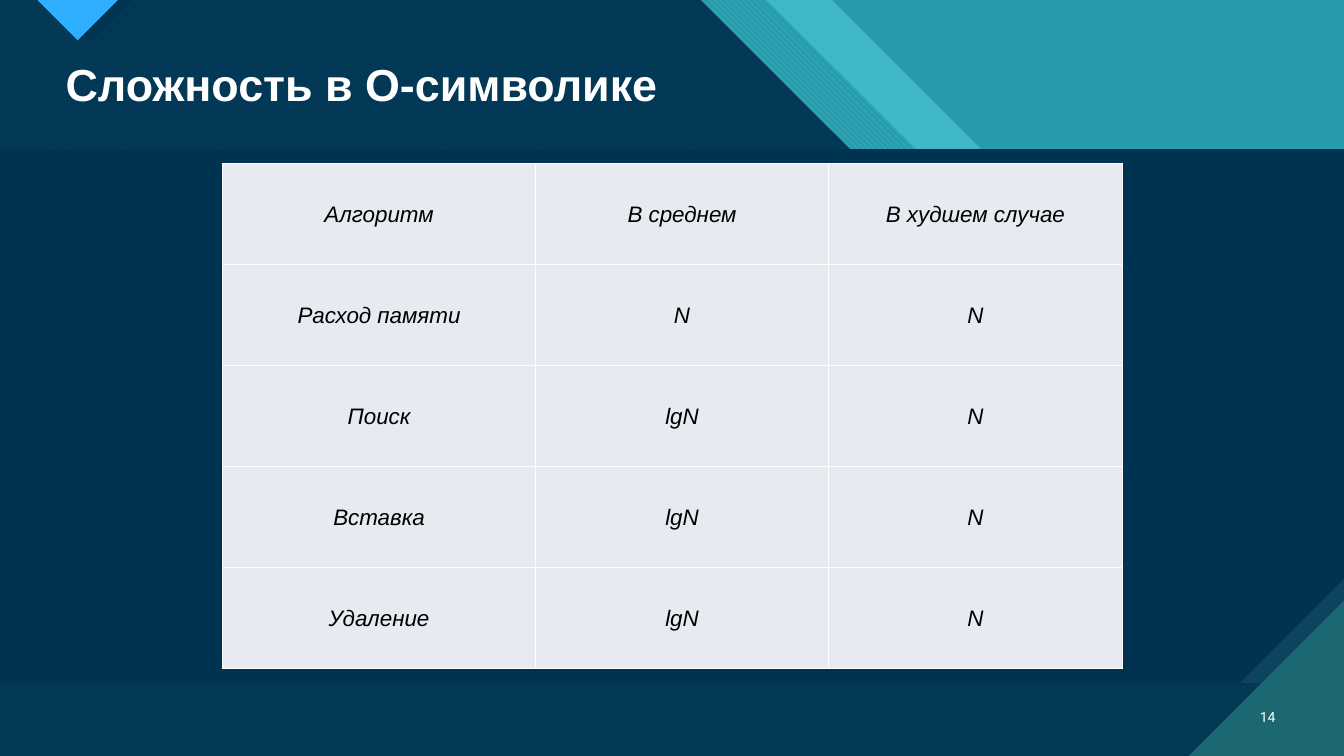
"""Build a slide comparing the O-notation complexity of tree operations."""
from lxml import etree
from pptx import Presentation
from pptx.dml.color import RGBColor
from pptx.enum.dml import MSO_PATTERN
from pptx.enum.text import MSO_ANCHOR, PP_ALIGN
from pptx.oxml import parse_xml
from pptx.oxml.ns import nsdecls, qn
from pptx.util import Inches, Pt

DOWN_STRIPES = MSO_PATTERN.WIDE_DOWNWARD_DIAGONAL
UP_STRIPES = MSO_PATTERN.WIDE_UPWARD_DIAGONAL
MIDDLE, TOP = MSO_ANCHOR.MIDDLE, MSO_ANCHOR.TOP
CENTER, LEFT, RIGHT = PP_ALIGN.CENTER, PP_ALIGN.LEFT, PP_ALIGN.RIGHT

THEME = {
    "teal": "299CAB", "aqua": "47C3D3", "navy": "003352", "steel": "0C4360",
    "pine": "1B6872", "blue": "2FAFFF", "cell": "E7EAF0", "white": "FFFFFF",
    "black": "000000", "font": "Arial", "number_font": "Roboto",
    "title_size": 32, "cell_size": 16, "number_size": 10,
}


def color(name):
    return RGBColor.from_string(THEME[name])


def style_text(frame, text, size, ink, align, anchor, font="font", bold=False, italic=False):
    frame.text = text
    frame.vertical_anchor = anchor
    paragraph = frame.paragraphs[0]
    paragraph.alignment = align
    run_font = paragraph.runs[0].font
    run_font.name, run_font.size = THEME[font], Pt(THEME[size])
    run_font.bold, run_font.italic = bold, italic
    run_font.color.rgb = color(ink)


deck = Presentation()
deck.slide_width, deck.slide_height = Inches(13.33), Inches(7.5)
slide = deck.slides.add_slide(deck.slide_layouts[5])
slide.background.fill.solid()
slide.background.fill.fore_color.rgb = color("teal")

light_band = [(0, 0), (8.25, 0), (11.22, 2.97), (12.34, 2.97), (13.33, 3.96), (13.33, 7.5), (0, 7.5)]
striped_band = [(0, 0), (7.6, 0), (10.58, 2.97), (11.84, 2.97), (13.33, 4.47), (13.33, 7.5), (0, 7.5)]
dark_field = [(0, 0), (6.95, 0), (9.92, 2.97), (11.18, 2.97), (13.33, 5.12), (13.33, 7.5), (0, 7.5)]
middle_panel = [(0, 1.48), (13.33, 1.48), (13.33, 6.78), (0, 6.78)]
snipped_panel = [(0, 1.48), (13.33, 1.48), (13.33, 5.74), (12.29, 6.78), (0, 6.78)]
marker_shadow = [(0.48, 0), (1.31, 0), (0.9, 0.41)]
marker = [(0.37, 0), (1.17, 0), (0.77, 0.4)]
corner = [(11.79, 7.5), (13.33, 7.5), (13.33, 5.96)]

backdrop = [
    (light_band, "aqua", None, None, 74),
    (striped_band, "aqua", "teal", DOWN_STRIPES, 100),
    (dark_field, "aqua", "pine", UP_STRIPES, 100),
    (dark_field, "navy", None, None, 90),
    (marker_shadow, "navy", None, None, 100),
    (marker, "blue", None, None, 100),
    (middle_panel, "steel", None, None, 100),
    (snipped_panel, "navy", None, None, 100),
    (corner, "pine", None, None, 100),
]
for points, front, back, pattern, opacity in backdrop:
    corners = [(Inches(x), Inches(y)) for x, y in points]
    builder = slide.shapes.build_freeform(*corners[0])
    builder.add_line_segments(corners[1:], close=True)
    piece = builder.convert_to_shape()
    piece.shadow.inherit = False
    piece.line.fill.background()
    if pattern:
        piece.fill.patterned()
        piece.fill.pattern = pattern
        piece.fill.back_color.rgb = color(back)
    else:
        piece.fill.solid()
    piece.fill.fore_color.rgb = color(front)
    if opacity < 100:
        tint = piece.element.spPr.find(qn("a:solidFill"))[0]
        etree.SubElement(tint, qn("a:alpha")).set("val", str(opacity * 1000))

page_number = slide.shapes.add_textbox(Inches(12.31), Inches(6.91), Inches(0.44), Inches(0.4))
page_number.text_frame.word_wrap = True
style_text(page_number.text_frame, "14", "number_size", "white", RIGHT, MIDDLE, font="number_font")

title = slide.shapes.title
title.left, title.top, title.width, title.height = (Inches(v) for v in (0.55, 0.51, 6.12, 0.64))
style_text(title.text_frame, "Сложность в О-символике", "title_size", "white", LEFT, TOP, bold=True)
title.text_frame.word_wrap = False
title.element.getparent().append(title.element)

complexity = [
    ("Алгоритм", "В\u00a0среднем", "В\u00a0худшем случае"),
    ("Расход\u00a0памяти", "N", "N"),
    ("Поиск", "lgN", "N"),
    ("Вставка", "lgN", "N"),
    ("Удаление", "lgN", "N"),
]
table = slide.shapes.add_table(
    len(complexity), 3, Inches(2.21), Inches(1.62), Inches(8.92), Inches(5.01)).table
for column, width in zip(table.columns, (3.1, 2.91, 2.91)):
    column.width = Inches(width)
for row, labels in zip(table.rows, complexity):
    for cell, label in zip(row.cells, labels):
        style_text(cell.text_frame, label, "cell_size", "black", CENTER, MIDDLE, italic=True)
        cell.vertical_anchor = MIDDLE
        cell.margin_left = cell.margin_right = cell.margin_top = Inches(0.01)
        cell.margin_bottom = 0
        properties = cell._tc.get_or_add_tcPr()
        for side in ("lnL", "lnR", "lnT", "lnB"):
            properties.append(parse_xml(
                f'<a:{side} {nsdecls("a")} w="{Pt(1)}"><a:solidFill>'
                f'<a:srgbClr val="{THEME["white"]}"/></a:solidFill></a:{side}>'))
        cell.fill.solid()
        cell.fill.fore_color.rgb = color("cell")

deck.save("out.pptx")
